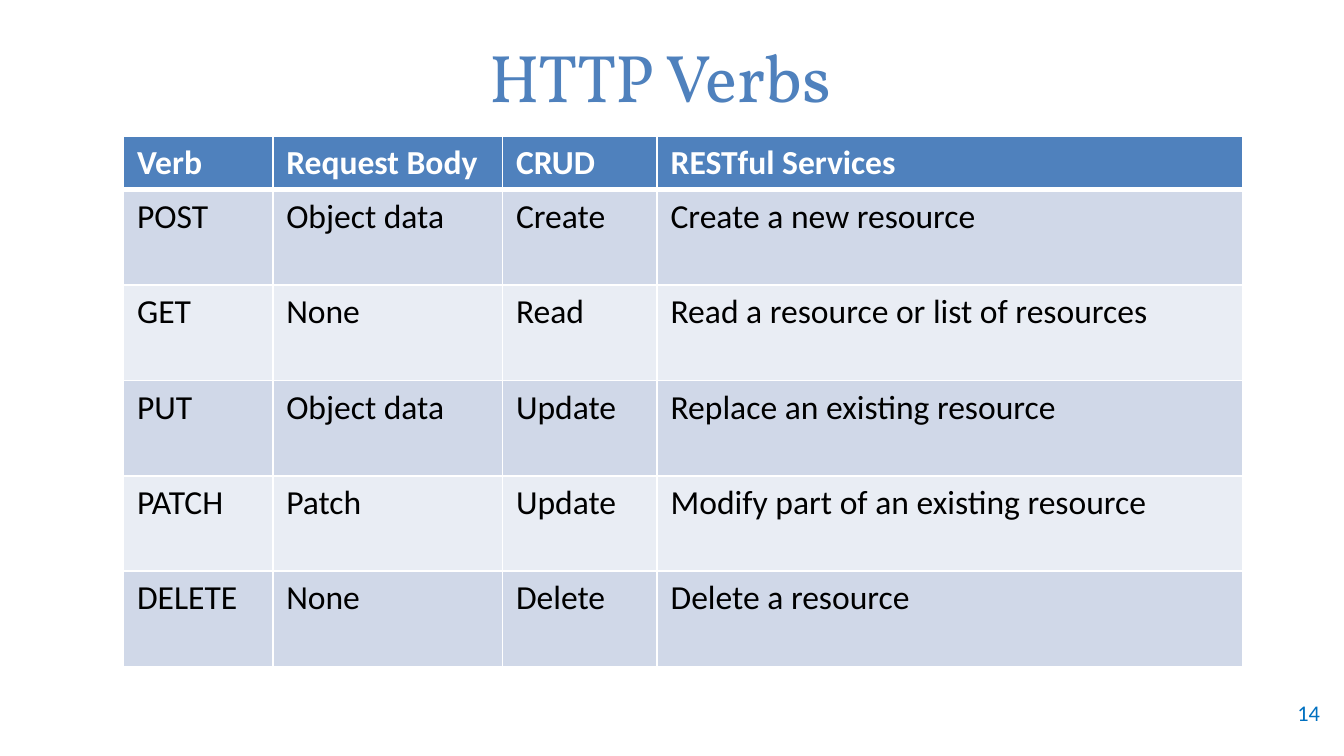
"""Builds the HTTP Verbs slide with its table of request methods."""
from dataclasses import dataclass

from lxml.etree import fromstring
from pptx import Presentation
from pptx.dml.color import RGBColor
from pptx.enum.text import MSO_ANCHOR, PP_ALIGN
from pptx.oxml.ns import nsdecls
from pptx.util import Inches, Pt


@dataclass(frozen=True)
class Theme:
    heading_font: str = "Vollkorn"
    body_font: str = "Calibri"
    accent: str = "4F81BD"
    page_number: str = "0070C0"
    text: str = "000000"
    white: str = "FFFFFF"
    bands: tuple = ("D0D8E8", "E9EDF4")
    title_size: int = 36
    table_size: int = 18
    number_size: int = 12


theme = Theme()


def write(frame, text, color, align, anchor, **font_values):
    frame.word_wrap = True
    frame.vertical_anchor = anchor
    para = frame.paragraphs[0]
    para.alignment = align
    span = para.add_run()
    span.text = text
    for name, value in font_values.items():
        setattr(span.font, name, value)
    span.font.color.rgb = RGBColor.from_string(color)


def add_borders(cell, widths):
    properties = cell._tc.get_or_add_tcPr()
    for position, (side, points) in enumerate(widths.items()):
        border = fromstring(
            f'<a:ln{side} {nsdecls("a")} w="{Pt(points)}"><a:solidFill>'
            f'<a:srgbClr val="{theme.white}"/></a:solidFill></a:ln{side}>'
        )
        properties.insert(position, border)


deck = Presentation()
deck.slide_width = Inches(10)
deck.slide_height = deck.slide_width * 9 // 16
page = deck.slides.add_slide(deck.slide_layouts[5])

title = page.shapes.title
title_place = {"left": 0.08, "top": 0.23, "width": 9.67, "height": 0.67}
for name, value in title_place.items():
    setattr(title, name, Inches(value))
write(title.text_frame, "HTTP Verbs", theme.accent, PP_ALIGN.CENTER, MSO_ANCHOR.MIDDLE,
      name=theme.heading_font, size=Pt(theme.title_size))

number_box = page.shapes.add_textbox(Inches(9.25), Inches(5.15), Inches(0.67), Inches(0.3))
write(number_box.text_frame, "14", theme.page_number, PP_ALIGN.RIGHT, MSO_ANCHOR.MIDDLE,
      name=theme.body_font, size=Pt(theme.number_size))

verbs = [
    ("Verb", "Request Body", "CRUD", "RESTful Services"),
    ("POST", "Object data", "Create", "Create a new resource"),
    ("GET", "None", "Read", "Read a resource or list of resources"),
    ("PUT", "Object data", "Update", "Replace an existing resource"),
    ("PATCH", "Patch", "Update", "Modify part of an existing resource"),
    ("DELETE", "None", "Delete", "Delete a resource"),
]
column_widths = [1.11, 1.71, 1.15, 4.36]
row_heights = [0.4] + [0.71] * 5

table = page.shapes.add_table(
    len(verbs), len(column_widths), Inches(0.92), Inches(1.01),
    Inches(sum(column_widths)), Inches(sum(row_heights)),
).table
for column, width in zip(table.columns, column_widths):
    column.width = Inches(width)
for row, height in zip(table.rows, row_heights):
    row.height = Inches(height)

for row_index, texts in enumerate(verbs):
    is_header = row_index == 0
    fill = theme.accent if is_header else theme.bands[(row_index - 1) % 2]
    color = theme.white if is_header else theme.text
    borders = {"L": 1, "R": 1, "T": 3 if row_index == 1 else 1, "B": 3 if is_header else 1}
    for column_index, text in enumerate(texts):
        cell = table.cell(row_index, column_index)
        cell.fill.solid()
        cell.fill.fore_color.rgb = RGBColor.from_string(fill)
        add_borders(cell, borders)
        write(cell.text_frame, text, color, PP_ALIGN.LEFT, MSO_ANCHOR.TOP,
              name=theme.body_font, size=Pt(theme.table_size), bold=is_header)

deck.save("out.pptx")
